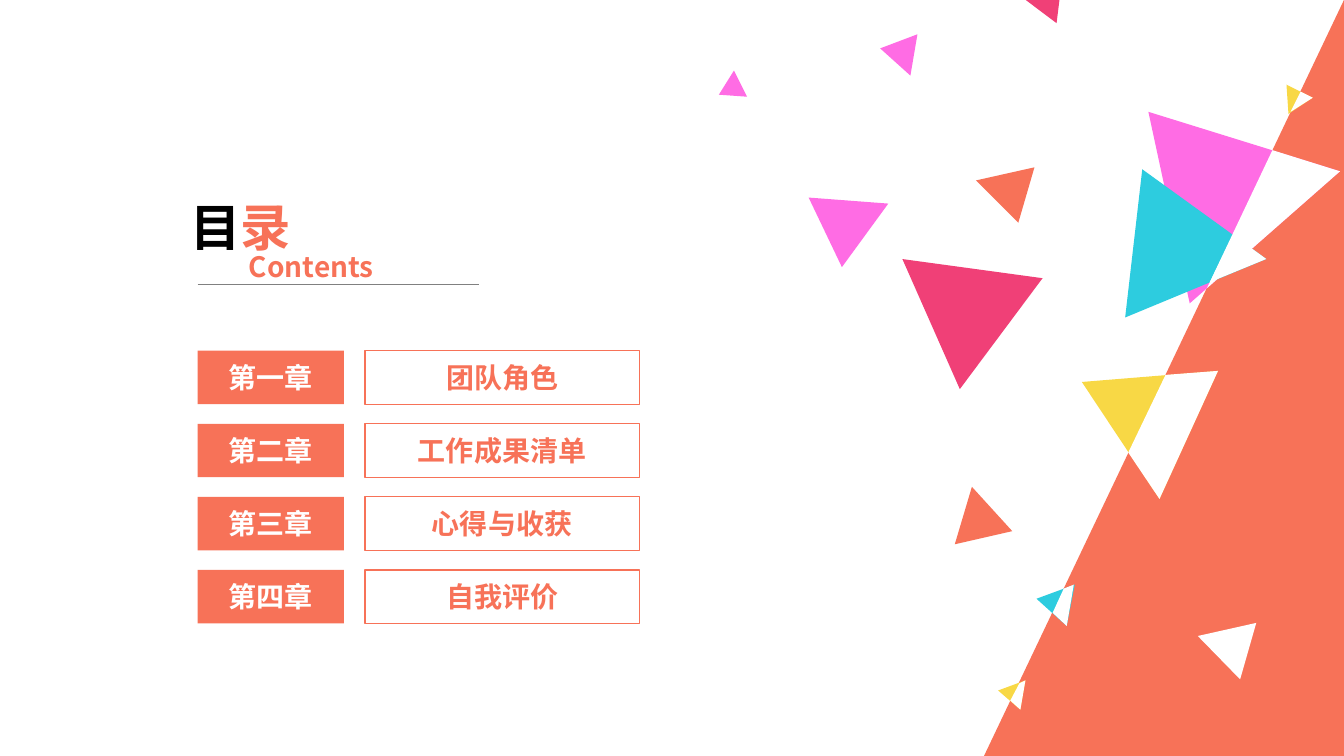
"""Build a contents slide with four chapter rows and scattered triangles."""
from lxml import etree
from pptx import Presentation
from pptx.dml.color import RGBColor
from pptx.enum import shapes, text
from pptx.oxml import ns
from pptx.util import Inches, Pt

CORAL = RGBColor(0xF7, 0x72, 0x58)
PINK = RGBColor(0xFF, 0x6C, 0xE4)
CYAN = RGBColor(0x2D, 0xCC, 0xDF)
YELLOW = RGBColor(0xF8, 0xD8, 0x45)
ROSE = RGBColor(0xF0, 0x40, 0x77)
GRAY = RGBColor(0x80, 0x80, 0x80)
BLACK = RGBColor(0, 0, 0)
WHITE = RGBColor(0xFF, 0xFF, 0xFF)
FONT = "Noto Sans CJK SC"

CHAPTERS = [("第一章", "团队角色"), ("第二章", "工作成果清单"),
            ("第三章", "心得与收获"), ("第四章", "自我评价")]

TRIANGLES = [
    (CORAL, [
        [(10.26, 1.66), (10.1, 2.21), (9.68, 1.79)],
        [(10.04, 5.27), (9.47, 5.4), (9.64, 4.83)]]),
    (PINK, [
        [(11.8, 3.01), (11.39, 1.11), (13.29, 1.7)],
        [(8.73, 0.48), (9.1, 0.34), (9.03, 0.75)],
        [(8.35, 2.65), (8.02, 1.96), (8.81, 2.02)],
        [(7.13, 0.94), (7.28, 0.7), (7.41, 0.96)]]),
    (CYAN, [
        [(11.16, 3.15), (11.33, 1.68), (12.56, 2.57)],
        [(10.28, 5.94), (10.66, 5.8), (10.58, 6.21)]]),
    (YELLOW, [
        [(9.9, 6.85), (10.17, 6.75), (10.12, 7.04)],
        [(10.73, 3.79), (12.08, 3.68), (11.5, 4.95)],
        [(12.78, 1.13), (12.76, 0.84), (13.02, 0.97)]]),
    (ROSE, [
        [(10.34, 2.76), (9.52, 3.86), (8.95, 2.57)],
        [(10.48, 0.23), (10.16, -0.01), (10.53, -0.17)]]),
    (WHITE, [
        [(12.46, 6.18), (12.3, 6.74), (11.88, 6.31)],
        [(12.62, 1.49), (13.29, 1.7), (11.97, 2.86)],
        [(12.23, 2.33), (12.56, 2.57), (12, 2.8)],
        [(10.65, 5.8), (10.58, 6.21), (10.44, 6.08), (10.55, 5.84)],
        [(10.17, 6.75), (10.12, 7.04), (10.02, 6.95), (10.11, 6.78)],
        [(12.08, 3.68), (11.5, 4.95), (11.19, 4.49), (11.56, 3.72)],
        [(12.9, 0.91), (13.02, 0.97), (12.8, 1.11)]]),
]


def style_text(p, size, color, align):
    p.alignment = align
    p.font.size = Pt(size)
    p.font.bold = True
    p.font.color.rgb = color
    p.font.name = FONT
    props = p._p.find(".//" + ns.qn("a:defRPr"))
    etree.SubElement(props, ns.qn("a:ea")).set("typeface", FONT)


def paint(sp, fill, line=None):
    sp.shadow.inherit = False
    if fill is None:
        sp.fill.background()
    else:
        sp.fill.solid()
        sp.fill.fore_color.rgb = fill
    if line is None:
        sp.line.fill.background()
    else:
        sp.line.color.rgb = line
        sp.line.width = Pt(0.75)


prs = Presentation()
prs.slide_width, prs.slide_height = Inches(13.33), Inches(7.5)
s = prs.slides.add_slide(prs.slide_layouts[5])

title = s.shapes.title
title.left, title.top = Inches(1.79), Inches(1.89)
title.width, title.height = Inches(1.57), Inches(0.71)
p = title.text_frame.paragraphs[0]
style_text(p, 36, BLACK, text.PP_ALIGN.LEFT)
for char, color in [("目", BLACK), ("录", CORAL)]:
    r = p.add_run()
    r.text = char
    r.font.color.rgb = color

subtitle = s.shapes.add_textbox(Inches(2.37), Inches(2.43), Inches(1.57), Inches(0.44))
subtitle.text_frame.word_wrap = True
p = subtitle.text_frame.paragraphs[0]
p.text = "Contents"
style_text(p, 20, CORAL, text.PP_ALIGN.LEFT)

rule = s.shapes.add_connector(shapes.MSO_CONNECTOR.STRAIGHT, Inches(1.96),
                              Inches(2.82), Inches(4.75), Inches(2.82))
rule.line.color.rgb = GRAY
rule.line.width = Pt(0.5)
etree.SubElement(rule._element.spPr, ns.qn("a:effectLst"))

slope = s.shapes.add_shape(shapes.MSO_SHAPE.ISOSCELES_TRIANGLE, Inches(9.76), 0,
                           Inches(3.57), Inches(7.5))
slope.adjustments[0] = 1
paint(slope, CORAL)

for i, (number, topic) in enumerate(CHAPTERS):
    top = Inches(3.48 + 0.725 * i)
    for label, left, width, fill, line, color in [
            (number, 1.96, 1.45, CORAL, None, WHITE),
            (topic, 3.62, 2.72, None, CORAL, CORAL)]:
        sp = s.shapes.add_shape(shapes.MSO_SHAPE.RECTANGLE, Inches(left), top,
                                Inches(width), Inches(0.53))
        paint(sp, fill, line)
        p = sp.text_frame.paragraphs[0]
        p.text = label
        style_text(p, 20, color, text.PP_ALIGN.CENTER)

for color, outlines in TRIANGLES:
    for outline in outlines:
        points = [(Inches(x), Inches(y)) for x, y in outline]
        builder = s.shapes.build_freeform(*points[0])
        builder.add_line_segments(points[1:], close=True)
        paint(builder.convert_to_shape(), color)

prs.save("out.pptx")
